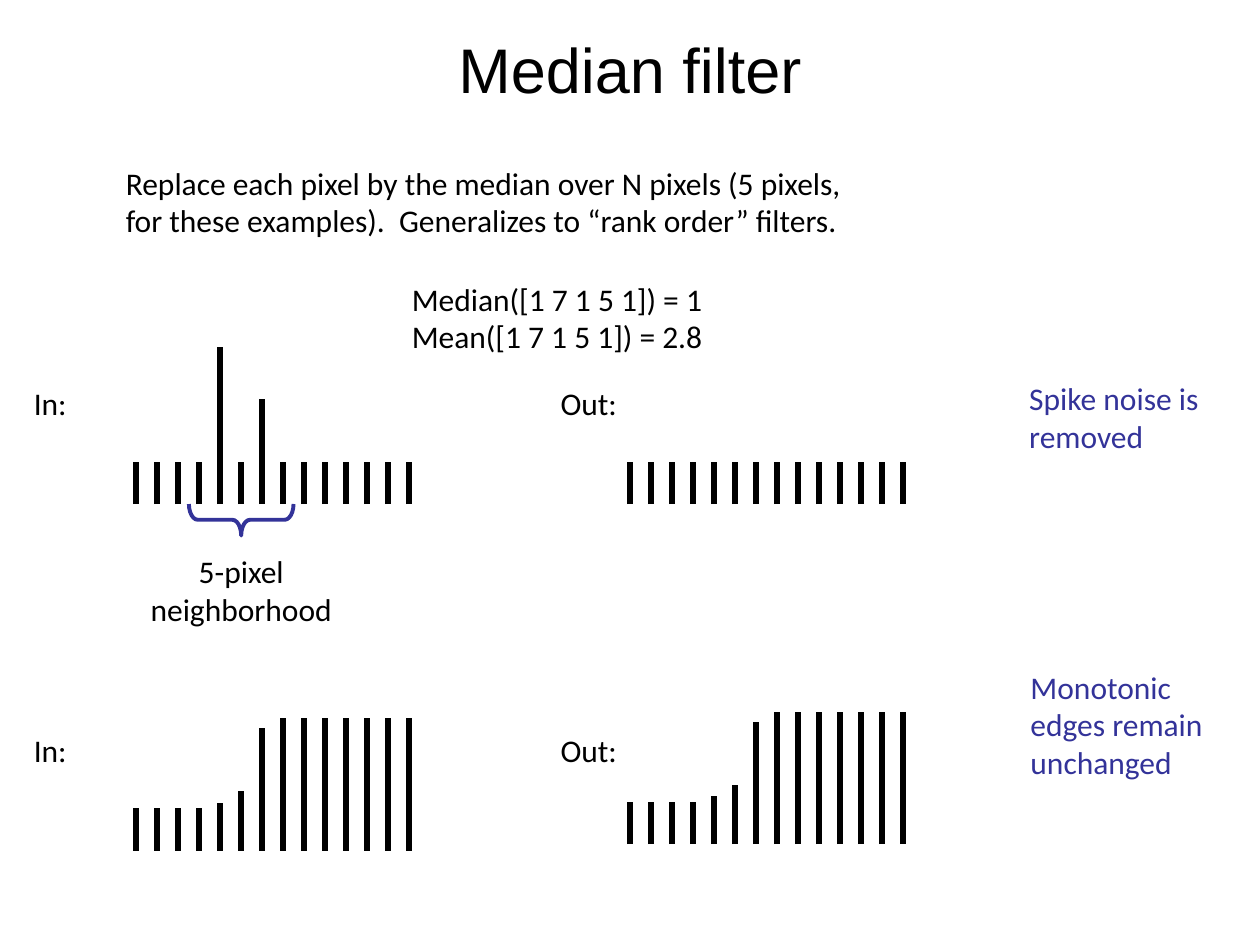
"""Build the median filter slide with its spike and edge signals."""
from lxml.etree import SubElement
from pptx import Presentation
from pptx.dml.color import RGBColor
from pptx.enum.shapes import MSO_CONNECTOR, MSO_SHAPE
from pptx.enum.text import MSO_ANCHOR, MSO_AUTO_SIZE, PP_ALIGN
from pptx.oxml.ns import qn
from pptx.util import Inches, Pt

THEME = {
    "ink": RGBColor.from_string("000000"),
    "note": RGBColor.from_string("333399"),
    "head": {"name": "Arial", "size": Pt(36)},
    "body": {"name": "Calibri", "size": Pt(18)},
    "bar": Pt(3),
    "brace": Pt(2.25),
}

TITLE = ("Median filter", (0.75, 0.17, 8.5, 0.75))
LEFT, MID = PP_ALIGN.LEFT, PP_ALIGN.CENTER
TEXTS = [
    (["Replace each pixel by the median over N pixels (5 pixels, for these examples).  "
      "Generalizes to “rank order” filters."], (0.9, 1.25, 6.18, 1.3), "ink", LEFT, True),
    (["Median([1 7 1 5 1]) = 1", "Mean([1 7 1 5 1]) = 2.8"],
     (3.17, 2.17, 2.54, 0.71), "ink", LEFT, False),
    (["5-pixel neighborhood"], (0.83, 4.33, 2.17, 0.7), "ink", MID, True),
    (["Spike noise is removed"], (8.07, 2.96, 1.68, 1.3), "note", LEFT, True),
    (["Monotonic edges remain unchanged"], (8.08, 5.25, 1.68, 1.7), "note", LEFT, True),
]
TEXTS += [([word], (left, top, width, 0.5), "ink", LEFT, False)
          for top in (3, 5.75)
          for word, left, width in (("In:", 0.17, 0.57), ("Out:", 4.35, 0.79))]

LOW = 1 / 3
SPIKE = [LOW] * 4 + [1.25, LOW, 0.83] + [LOW] * 7
FLAT = [LOW] * 14
EDGE = [LOW] * 4 + [0.38, 0.47, 0.97] + [1.05] * 7
SIGNALS = [(1.08, 4, SPIKE), (5, 4, FLAT), (1.08, 6.75, EDGE), (5, 6.7, EDGE)]
STEP = 1 / 6
BRACE = (1.79, 3.71, 0.25, 0.83)


def style(item, values):
    for key, value in values.items():
        setattr(item, key, value)


def write(frame, lines, font, color, align):
    for i, line in enumerate(lines):
        para = frame.paragraphs[0] if i == 0 else frame.add_paragraph()
        para.alignment = align
        run = para.add_run()
        run.text = line
        style(run.font, THEME[font])
        run.font.color.rgb = THEME[color]


def add_title(slide):
    text, box = TITLE
    title = slide.shapes.title
    style(title, dict(zip(("left", "top", "width", "height"), map(Inches, box))))
    title.text_frame.vertical_anchor = MSO_ANCHOR.MIDDLE
    write(title.text_frame, [text], "head", "ink", MID)


def add_text(slide, lines, box, color, align, wrap):
    frame = slide.shapes.add_textbox(*map(Inches, box)).text_frame
    style(frame, {"word_wrap": wrap, "auto_size": MSO_AUTO_SIZE.SHAPE_TO_FIT_TEXT})
    write(frame, lines, "body", color, align)


def add_signal(slide, left, base, values):
    for i, value in enumerate(values):
        x = Inches(left + i * STEP)
        bar = slide.shapes.add_connector(
            MSO_CONNECTOR.STRAIGHT, x, Inches(base), x, Inches(base - value))
        bar.line.width = THEME["bar"]
        bar.line.color.rgb = THEME["ink"]
        SubElement(bar._element.spPr, qn("a:effectLst"))


def add_brace(slide):
    brace = slide.shapes.add_shape(MSO_SHAPE.LEFT_BRACE, *map(Inches, BRACE))
    brace.rotation = 270
    brace.adjustments[0] = 0.28
    brace.shadow.inherit = False
    brace.fill.background()
    brace.line.width = THEME["brace"]
    brace.line.color.rgb = THEME["note"]


def main():
    deck = Presentation()
    style(deck, {"slide_width": Inches(10), "slide_height": Inches(7.5)})
    slide = deck.slides.add_slide(deck.slide_layouts[5])
    add_title(slide)
    for signal in SIGNALS:
        add_signal(slide, *signal)
    add_brace(slide)
    for text in TEXTS:
        add_text(slide, *text)
    deck.save("out.pptx")


if __name__ == "__main__":
    main()
